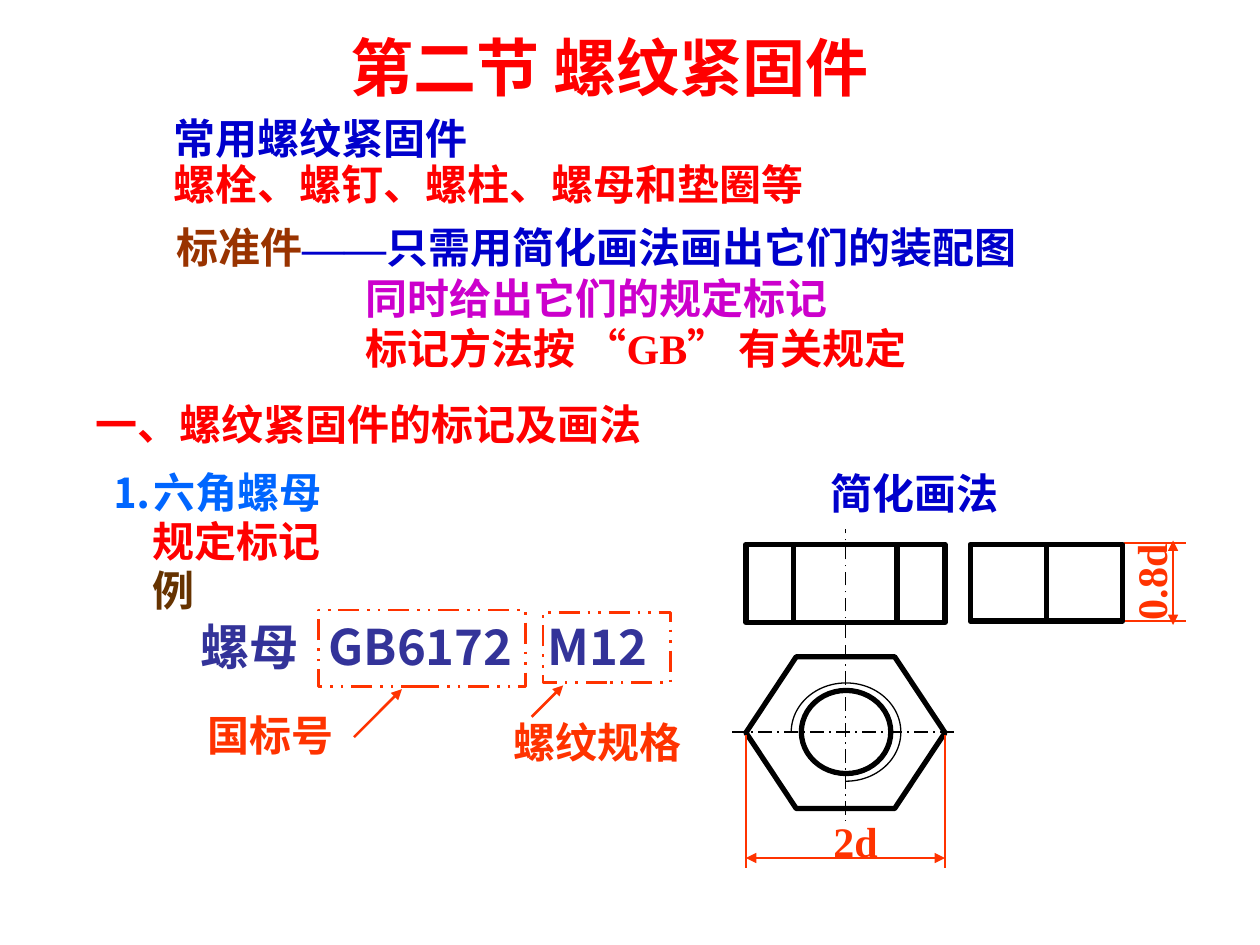
from dataclasses import dataclass

from lxml import etree
from pptx import Presentation
from pptx import util as u
from pptx.dml.color import RGBColor
from pptx.enum import dml, shapes, text
from pptx.oxml.ns import qn

SANS, SERIF = "Noto Sans CJK SC", "Times New Roman"
RED, BLUE, BLACK, ORANGE = "FF0000", "0000CC", "000000", "FF3300"
CENTER_DASH = dml.MSO_LINE.LONG_DASH_DOT
FRAME_DASH = dml.MSO_LINE.DASH_DOT_DOT
MIDDLE, TOP = text.MSO_ANCHOR.MIDDLE, text.MSO_ANCHOR.TOP
CENTER, LEFT = text.PP_ALIGN.CENTER, text.PP_ALIGN.LEFT
KIND = shapes.MSO_SHAPE


@dataclass
class Run:
    text: str
    color: str
    font: str = SERIF
    east: str = SANS


@dataclass
class Para:
    runs: list[Run]
    indent: float = 0
    tabs: tuple[float, ...] = ()


@dataclass
class Label:
    text: str
    box: tuple[float, float, float, float]
    color: str
    font: str = SERIF
    size: int = 24
    align: text.PP_ALIGN = LEFT
    wrap: bool = True
    rotation: int = 0
    tabs: tuple[float, ...] = ()


@dataclass
class Outline:
    kind: KIND
    box: tuple[float, float, float, float]
    color: str = BLACK
    width: float = 3
    dash: dml.MSO_LINE | None = None
    adjust: tuple[float, ...] = ()


@dataclass
class Line:
    start: tuple[float, float]
    end: tuple[float, float]
    color: str = ORANGE
    width: float = 1
    dash: dml.MSO_LINE | None = None
    arrows: tuple[str, ...] = ()


def rgb(value: str) -> RGBColor:
    return RGBColor.from_string(value)


def style_line(sp, item) -> None:
    sp.line.color.rgb = rgb(item.color)
    sp.line.width = u.Pt(item.width)
    if item.dash:
        sp.line.dash_style = item.dash


def add_text(s, paras: list[Para], box, size=24, align=LEFT, anchor=MIDDLE,
             spacing=None, wrap=True, rotation=0) -> None:
    sp = s.shapes.add_textbox(*map(u.Inches, box))
    sp.rotation = rotation
    tf = sp.text_frame
    tf.word_wrap = wrap
    tf.vertical_anchor = anchor
    tf.auto_size = text.MSO_AUTO_SIZE.SHAPE_TO_FIT_TEXT
    for i, para in enumerate(paras):
        p = tf.add_paragraph() if i else tf.paragraphs[0]
        p.alignment = align
        if spacing:
            p.line_spacing = spacing
        pPr = p._p.get_or_add_pPr()
        if para.indent:
            pPr.set("marL", str(u.Inches(para.indent)))
        if para.tabs:
            tab_list = etree.SubElement(pPr, qn("a:tabLst"))
            for pos in para.tabs:
                etree.SubElement(tab_list, qn("a:tab"), pos=str(u.Inches(pos)), algn="l")
        for run in para.runs:
            r = p.add_run()
            r.text = run.text
            r.font.size, r.font.bold, r.font.name = u.Pt(size), True, run.font
            r.font.color.rgb = rgb(run.color)
            etree.SubElement(r._r.get_or_add_rPr(), qn("a:ea"), typeface=run.east)


def add_label(s, label: Label) -> None:
    run = Run(label.text, label.color, label.font)
    add_text(s, [Para([run], tabs=label.tabs)], label.box, size=label.size,
             align=label.align, wrap=label.wrap, rotation=label.rotation)


def add_outline(s, outline: Outline):
    sp = s.shapes.add_shape(outline.kind, *map(u.Inches, outline.box))
    sp.shadow.inherit = False
    sp.fill.background()
    for i, value in enumerate(outline.adjust):
        sp.adjustments[i] = value
    style_line(sp, outline)
    return sp


def add_line(s, line: Line):
    sp = s.shapes.add_connector(shapes.MSO_CONNECTOR.STRAIGHT,
                                *map(u.Inches, line.start + line.end))
    style_line(sp, line)
    for end in line.arrows:
        etree.SubElement(sp.line._get_or_add_ln(), qn(f"a:{end}"), type="triangle")
    etree.SubElement(sp._element.spPr, qn("a:effectLst"))
    return sp


LABELS = [
    Label("第二节 螺纹紧固件", (2.03, 0.18, 5.61, 0.7), RED, SANS, 36, CENTER),
    Label("一、螺纹紧固件的标记及画法", (0.66, 3.11, 5.57, 0.5), RED),
    Label("⒈六角螺母", (0.79, 3.65, 3.26, 0.5), "0066FF", SANS),
    Label("规定标记", (1.11, 4.04, 2.03, 0.5), RED),
    Label("例", (1.11, 4.43, 0.73, 0.5), "663300"),
    Label("螺母\tGB6172\tM12", (1.49, 4.84, 3.96, 0.57), "333399", SANS, 28,
          tabs=(1.02, 2.76)),
    Label("国标号", (1.36, 5.58, 1.57, 0.5), ORANGE, align=CENTER),
    Label("螺纹规格", (3.98, 5.64, 1.53, 0.5), ORANGE, align=CENTER, wrap=False),
    Label("简化画法", (6.49, 3.66, 2.36, 0.5), BLUE),
    Label("2d", (6.45, 6.42, 0.68, 0.5), ORANGE, align=CENTER),
    Label("0.8d", (8.73, 4.37, 0.8, 0.5), ORANGE, align=CENTER, wrap=False, rotation=270),
]

OUTLINES = [
    Outline(KIND.RECTANGLE, (5.92, 4.32, 1.58, 0.62)),
    Outline(KIND.OVAL, (6.36, 5.48, 0.71, 0.66)),
    Outline(KIND.HEXAGON, (5.92, 5.21, 1.58, 1.21), adjust=(0.33, 1.15)),
    Outline(KIND.ARC, (6.28, 5.42, 0.87, 0.78), width=0.75, adjust=(108, 54)),
    Outline(KIND.RECTANGLE, (2.53, 4.84, 1.64, 0.61), ORANGE, 1.5, FRAME_DASH),
    Outline(KIND.RECTANGLE, (4.31, 4.86, 1.01, 0.56), ORANGE, 1.5, FRAME_DASH),
]

BOTH, TAIL = ("headEnd", "tailEnd"), ("tailEnd",)
LINES = [
    *(Line((x, 4.94), (x, 4.32), BLACK, 3) for x in (6.3, 7.12)),
    *(Line(a, b, BLACK, 1, CENTER_DASH) for a, b in (
        ((6.71, 5.06), (6.71, 4.2)),
        ((6.71, 5.12), (6.71, 6.52)),
        ((5.81, 5.81), (7.61, 5.81)))),
    *(Line((x, 5.83), (x, 6.89)) for x in (5.92, 7.5)),
    *(Line((8.92, y), (9.41, y)) for y in (4.31, 4.93)),
    Line((5.92, 6.81), (7.5, 6.81), arrows=BOTH),
    Line((9.31, 4.29), (9.31, 4.96), arrows=BOTH),
    Line((2.81, 5.85), (3.19, 5.47), width=1.5, arrows=TAIL),
    Line((4.22, 5.69), (4.47, 5.44), width=1.5, arrows=TAIL),
]


def main() -> None:
    prs = Presentation()
    prs.slide_width, prs.slide_height = u.Inches(10), u.Inches(7.5)
    s = prs.slides.add_slide(prs.slide_layouts[6])

    for outline in OUTLINES:
        add_outline(s, outline)
    for line in LINES:
        add_line(s, line)

    side_view = add_outline(s, Outline(KIND.RECTANGLE, (7.7, 4.32, 1.21, 0.61)))
    edge = add_line(s, Line((8.31, 4.32), (8.31, 4.93), BLACK, 3))
    edge.begin_connect(side_view, 0)
    edge.end_connect(side_view, 2)

    for label in LABELS:
        add_label(s, label)
    add_text(s, [Para([Run("常用螺纹紧固件", BLUE, SANS)]),
                 Para([Run("螺栓、螺钉、螺柱、螺母和垫圈等", RED, SANS)])],
             (1.28, 0.89, 5.62, 0.82), spacing=0.9)
    add_text(s, [Para([Run("标准件", "993300"), Run("——", BLUE, east=SERIF),
                       Run("只需用简化画法画出它们的装配图", BLUE)]),
                 Para([Run("同时给出它们的规定标记", "CC00CC")], indent=1.5),
                 Para([Run("标记方法按 “GB” 有关规定", RED)], indent=1.5)],
             (1.3, 1.71, 8.2, 1.3), anchor=TOP)
    prs.save("out.pptx")


if __name__ == "__main__":
    main()
